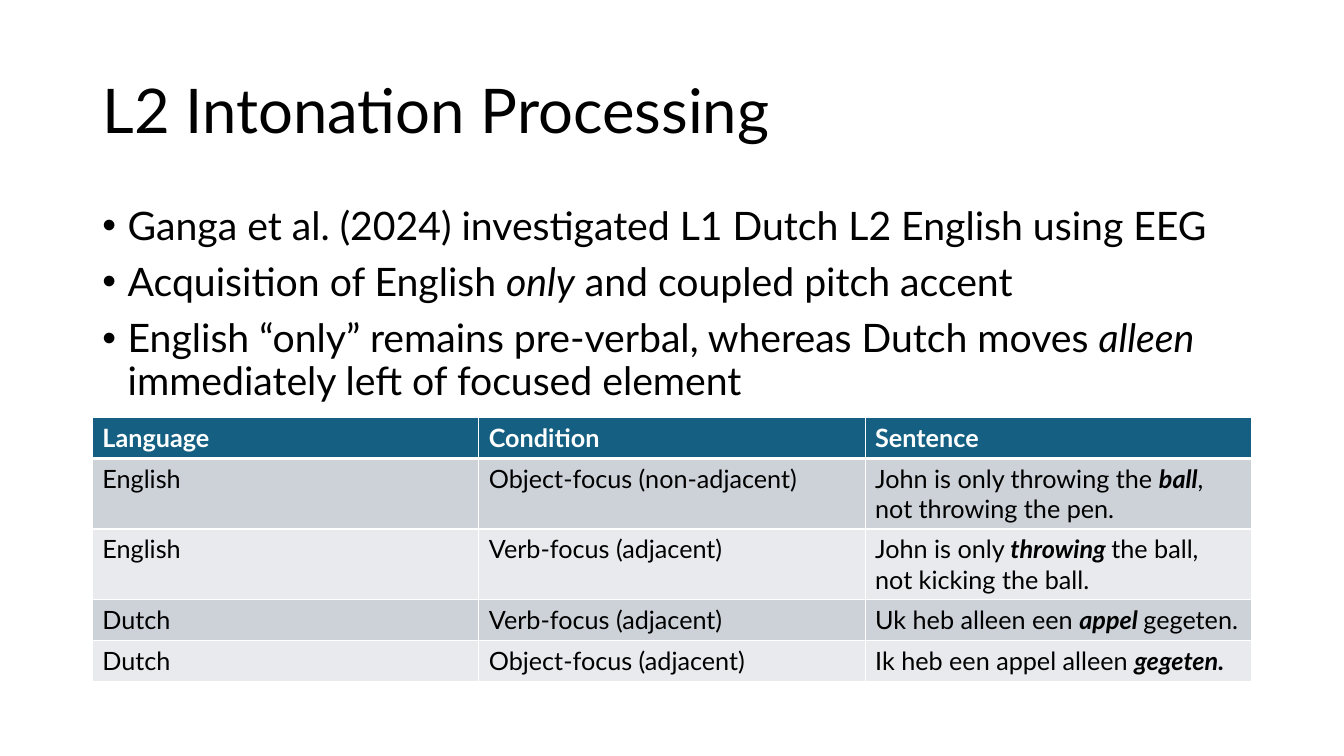
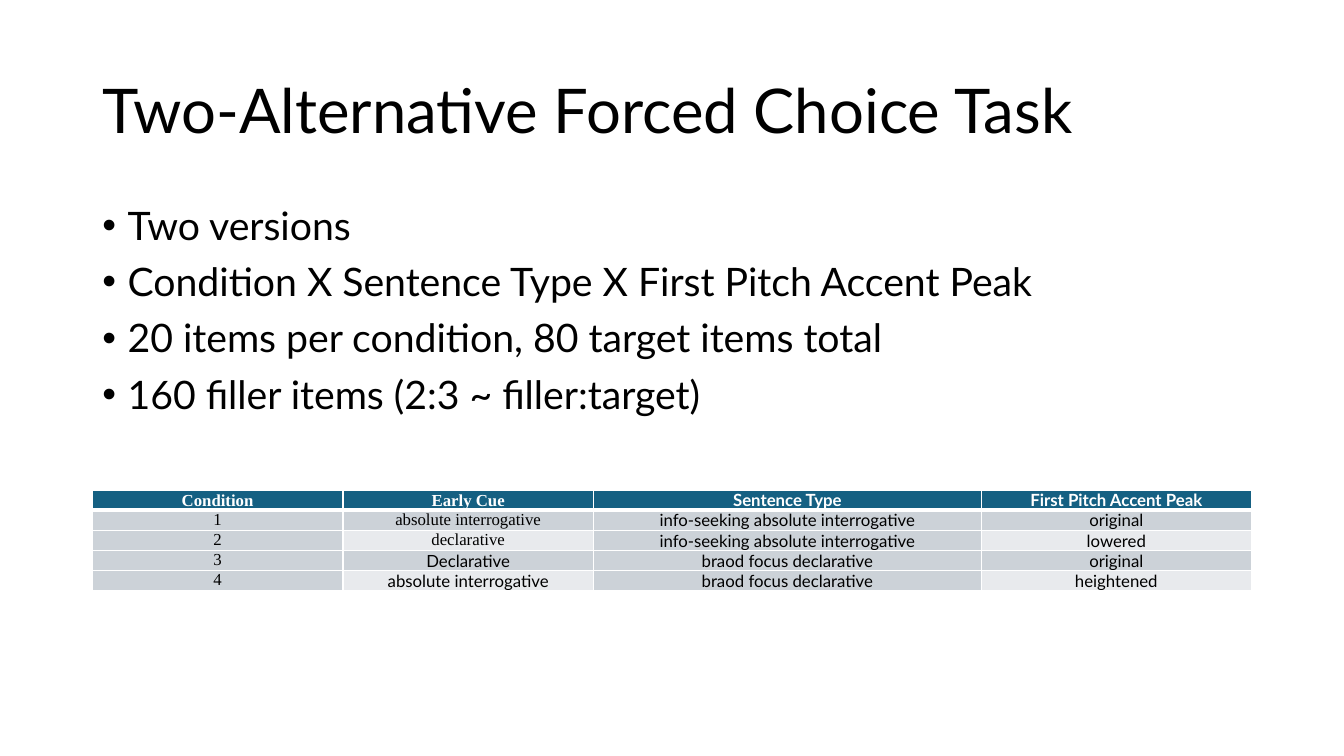
from dataclasses import dataclass

from lxml import etree
from pptx import Presentation
from pptx.dml.color import RGBColor
from pptx.enum import text as t
from pptx.oxml import ns
from pptx.util import Pt


@dataclass(frozen=True)
class Theme:
    ink: str = "000000"
    white: str = "FFFFFF"
    header: str = "156082"
    band: str = "CCD2D8"
    pale: str = "E8EAED"
    sans: str = "Lato"
    serif: str = "Times New Roman"
    title_size: int = 44
    body_size: int = 28


THEME = Theme()
SLIDE_SIZE = (960, 540)
LEFT, WIDTH = 66, 828
TITLE_BOX = (LEFT, 28.75, WIDTH, 104.4)
BODY_BOX = (LEFT, 143.75, WIDTH, 342.6)
BULLET_INDENT = 18

# Content: asterisks enclose emphasised words
SLIDES = [
    {
        "title": "L2 Intonation Processing",
        "bullets": [
            "Ganga et al. (2024) investigated L1 Dutch L2 English using EEG",
            "Acquisition of English *only* and coupled pitch accent",
            "English “only” remains pre-verbal, whereas Dutch moves "
            "*alleen *immediately left of focused element",
        ],
        "rows": [
            ("Language", "Condition", "Sentence"),
            ("English", "Object-focus (non-adjacent)",
             "John is only throwing the *ball*, not throwing the pen."),
            ("English", "Verb-focus (adjacent)",
             "John is only* throwing *the ball, not kicking the ball."),
            ("Dutch", "Verb-focus (adjacent)", "Uk heb alleen een *appel *gegeten."),
            ("Dutch", "Object-focus (adjacent)", "Ik heb een appel alleen *gegeten.*"),
        ],
        "table": {
            "top": 298.2, "columns": (276, 276, 276), "row_height": 29.2,
            "size": 18, "pale_columns": (0, 1, 2), "serif_rows": (0, 0, 0),
            "cell": {}, "paragraph": {}, "header_anchor": t.MSO_ANCHOR.TOP,
        },
    },
    {
        "title": "Two-Alternative Forced Choice Task",
        "bullets": [
            "Two versions",
            "Condition X Sentence Type X First Pitch Accent Peak",
            "20 items per condition, 80 target items total",
            "160 filler items (2:3 ~ filler:target)",
        ],
        "rows": [
            ("Condition", "Early Cue", "Sentence Type", "First Pitch Accent Peak"),
            ("1", "absolute interrogative", "info-seeking absolute interrogative", "original"),
            ("2", "declarative", "info-seeking absolute interrogative", "lowered"),
            ("3", "Declarative", "braod focus declarative", "original"),
            ("4", "absolute interrogative", "braod focus declarative", "heightened"),
        ],
        "table": {
            "top": 350, "columns": (179, 179, 277, 193), "row_height": 14.4,
            "size": 12, "pale_columns": (1, 3), "serif_rows": (5, 3, 0, 0),
            "cell": {"margin_left": Pt(5), "margin_right": Pt(5),
                     "margin_top": 0, "margin_bottom": 0},
            "paragraph": {"alignment": t.PP_ALIGN.CENTER,
                          "space_before": Pt(1.8), "space_after": Pt(1.8)},
            "header_anchor": t.MSO_ANCHOR.BOTTOM,
        },
    },
]


def apply(target, formats):
    for name, value in formats.items():
        setattr(target, name, value)


def write(paragraph, content, size, color=THEME.ink, name=THEME.sans,
          bold=False, emphasis=("italic",)):
    """Write one paragraph, with every second piece emphasised."""
    for index, piece in enumerate(content.split("*")):
        if not piece:
            continue
        run = paragraph.add_run()
        run.text = piece
        formats = {"name": name, "size": Pt(size), "bold": bold, "italic": False}
        if index % 2:
            formats.update(dict.fromkeys(emphasis, True))
        apply(run.font, formats)
        run.font.color.rgb = RGBColor.from_string(color)


def place(shape, box, anchor):
    apply(shape, dict(zip(("left", "top", "width", "height"), map(Pt, box))))
    apply(shape.text_frame, {"word_wrap": True, "vertical_anchor": anchor,
                             "auto_size": t.MSO_AUTO_SIZE.NONE})


def add_bullet(paragraph):
    properties = paragraph._p.get_or_add_pPr()
    properties.set("marL", str(Pt(BULLET_INDENT)))
    properties.set("indent", str(-Pt(BULLET_INDENT)))
    etree.SubElement(properties, ns.qn("a:buFont"), typeface="Arial")
    etree.SubElement(properties, ns.qn("a:buChar"), char="•")


def add_borders(cell, widths):
    properties = cell._tc.get_or_add_tcPr()
    for side, width in widths.items():
        line = etree.SubElement(properties, ns.qn(f"a:ln{side}"), w=str(Pt(width)))
        fill = etree.SubElement(line, ns.qn("a:solidFill"))
        etree.SubElement(fill, ns.qn("a:srgbClr"), val=THEME.white)


def fill_placeholders(slide, content):
    title = slide.shapes.title
    place(title, TITLE_BOX, t.MSO_ANCHOR.MIDDLE)
    heading = title.text_frame.paragraphs[0]
    apply(heading, {"alignment": t.PP_ALIGN.LEFT, "line_spacing": 0.9})
    write(heading, content["title"], THEME.title_size)

    body = slide.placeholders[1]
    place(body, BODY_BOX, t.MSO_ANCHOR.TOP)
    for index, bullet in enumerate(content["bullets"]):
        frame = body.text_frame
        paragraph = frame.add_paragraph() if index else frame.paragraphs[0]
        apply(paragraph, {"line_spacing": 0.9, "space_before": Pt(10),
                          "space_after": Pt(0)})
        add_bullet(paragraph)
        write(paragraph, bullet, THEME.body_size)


def add_data_table(slide, rows, layout):
    height = layout["row_height"]
    table = slide.shapes.add_table(
        len(rows), len(rows[0]), Pt(LEFT), Pt(layout["top"]),
        Pt(WIDTH), Pt(height * len(rows))).table
    for column, width in zip(table.columns, layout["columns"]):
        column.width = Pt(width)
    for row_index, values in enumerate(rows):
        table.rows[row_index].height = Pt(height)
        is_header = row_index == 0
        for column_index, value in enumerate(values):
            cell = table.cell(row_index, column_index)
            apply(cell, layout["cell"])
            cell.vertical_anchor = layout["header_anchor"] if is_header else t.MSO_ANCHOR.TOP
            # The rule below the header is heavier than the others
            add_borders(cell, {"L": 1, "R": 1, "T": 3 if row_index == 1 else 1,
                               "B": 3 if is_header else 1})
            is_pale = row_index % 2 == 0 and column_index in layout["pale_columns"]
            color = THEME.header if is_header else THEME.pale if is_pale else THEME.band
            cell.fill.solid()
            cell.fill.fore_color.rgb = RGBColor.from_string(color)
            paragraph = cell.text_frame.paragraphs[0]
            apply(paragraph, layout["paragraph"])
            is_serif = row_index < layout["serif_rows"][column_index]
            write(paragraph, value, layout["size"],
                  color=THEME.white if is_header else THEME.ink,
                  name=THEME.serif if is_serif else THEME.sans,
                  bold=is_header, emphasis=("bold", "italic"))


def main():
    presentation = Presentation()
    presentation.slide_width, presentation.slide_height = map(Pt, SLIDE_SIZE)
    for content in SLIDES:
        slide = presentation.slides.add_slide(presentation.slide_layouts[1])
        fill_placeholders(slide, content)
        add_data_table(slide, content["rows"], content["table"])
    presentation.save("out.pptx")


if __name__ == "__main__":
    main()
